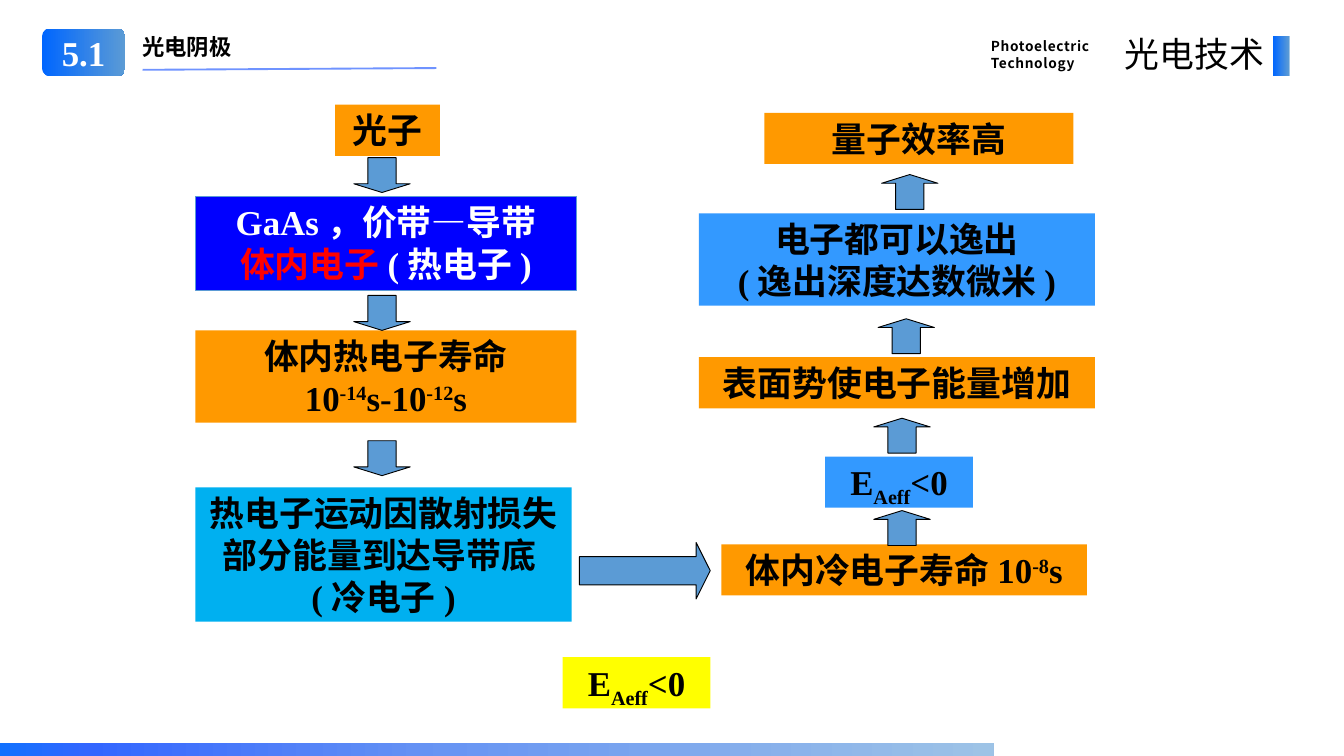
from dataclasses import dataclass

from lxml import etree
from pptx import Presentation
from pptx.dml.color import RGBColor
from pptx.enum.shapes import MSO_CONNECTOR, MSO_SHAPE as Preset
from pptx.enum.text import MSO_ANCHOR as Anchor, MSO_AUTO_SIZE as AutoSize, PP_ALIGN as Align
from pptx.oxml.ns import qn
from pptx.util import Cm, Pt

SERIF, SANS = "Times New Roman", "Noto Sans CJK SC"
ORANGE, BLUE, LIGHT_BLUE, CYAN, YELLOW = "FF9900", "0000FF", "3399FF", "00B0F0", "FFFF00"
STEEL, BLACK, WHITE, RED = "5B9BD5", "000000", "FFFFFF", "FF0000"
BADGE_STOPS = [(0, "0066FF"), (100, STEEL)]
FOOTER_STOPS = [(0, "1271FE"), (9, "3366FF"), (45, "6895F3"), (100, "9DC3E6")]
ARROW_WIDTH, ARROW_LENGTH = 1.6, 0.99
ONE_LINE, TWO_LINES = 1.45, 2.62
SUPER, SUB = 30, -25


@dataclass
class Box:
    left: float
    top: float
    width: float
    height: float

    def inner(self, left, top, width, height):
        return Box(self.left + left, self.top + top, width, height)

    def lengths(self):
        return [Cm(value) for value in (self.left, self.top, self.width, self.height)]


@dataclass
class Piece:
    text: str
    color: str = BLACK
    baseline: int = 0


def rgb(color):
    return RGBColor.from_string(color)


def add_run(paragraph, piece, size=28, font=SERIF, bold=True, spacing=0):
    run = paragraph.add_run()
    run.text = piece.text
    run.font.name, run.font.size, run.font.bold = font, Pt(size), bold
    run.font.color.rgb = rgb(piece.color)
    properties = run.font._element
    etree.SubElement(properties, qn("a:ea"), typeface=SANS)
    if piece.baseline:
        properties.set("baseline", str(piece.baseline * 1000))
    if spacing:
        properties.set("spc", str(round(spacing * 100)))


def write(shape, lines, align=Align.CENTER, anchor=Anchor.TOP, leading=None, **style):
    frame = shape.text_frame
    frame.word_wrap = True
    frame.vertical_anchor = anchor
    for index, pieces in enumerate(lines):
        paragraph = frame.add_paragraph() if index else frame.paragraphs[0]
        paragraph.alignment = align
        if leading:
            paragraph.line_spacing = Pt(leading)
        for piece in pieces:
            add_run(paragraph, piece, **style)


def add_label(slide, box, lines, **style):
    label = slide.shapes.add_textbox(*box.lengths())
    write(label, lines, **style)
    label.text_frame.auto_size = AutoSize.SHAPE_TO_FIT_TEXT


def add_filled(slide, preset, box, color=None, line=None):
    shape = slide.shapes.add_shape(preset, *box.lengths())
    shape.shadow.inherit = False
    if color:
        shape.fill.solid()
        shape.fill.fore_color.rgb = rgb(color)
    if line:
        shape.line.color.rgb = rgb(line)
        shape.line.width = Pt(0.75)
    else:
        shape.line.fill.background()
    return shape


def add_gradient(slide, preset, box, stops):
    shape = add_filled(slide, preset, box)
    shape.fill.gradient()
    shape.fill.gradient_angle = 0
    stop_list = shape._element.spPr.find(qn("a:gradFill")).find(qn("a:gsLst"))
    for old in list(stop_list):
        stop_list.remove(old)
    for position, color in stops:
        stop = etree.SubElement(stop_list, qn("a:gs"), pos=str(position * 1000))
        etree.SubElement(stop, qn("a:srgbClr"), val=color)
    return shape


def add_step(slide, box, color, lines, line=None):
    step = add_filled(slide, Preset.RECTANGLE, box, color, line)
    write(step, lines)
    step.text_frame.auto_size = AutoSize.SHAPE_TO_FIT_TEXT


def add_arrow(slide, region, left, top, rotation=0, length=ARROW_LENGTH):
    arrow = add_filled(slide, Preset.DOWN_ARROW, region.inner(left, top, ARROW_WIDTH, length), STEEL, BLACK)
    arrow.adjustments[0], arrow.adjustments[1] = 0.5, 0.25
    arrow.rotation = rotation


def affinity():
    return [[Piece("E"), Piece("Aeff", baseline=SUB), Piece("<0")]]


def build_header(slide, region):
    badge = add_gradient(slide, Preset.ROUNDED_RECTANGLE, region.inner(0, 0, 2.36, 1.35), BADGE_STOPS)
    write(badge, [[Piece("5.1", WHITE)]], anchor=Anchor.MIDDLE)
    add_label(slide, region.inner(2.59, 0, 8.89, 1.02), [[Piece("光电阴极")]],
              align=Align.LEFT, size=18, font=SANS)
    add_label(slide, region.inner(26.65, 0.1, 4.01, 1.24),
              [[Piece("Photoelectric")], [Piece("Technology")]],
              align=Align.LEFT, leading=14, size=11, font=SANS, spacing=0.5)
    add_label(slide, region.inner(30.08, 0, 4.83, 1.45), [[Piece("光电技术")]],
              align=Align.RIGHT, font=SANS, bold=False, spacing=0.2)
    add_gradient(slide, Preset.RECTANGLE, region.inner(34.9, 0.2, 0.46, 1.14), BADGE_STOPS)

    underline = slide.shapes.add_connector(
        MSO_CONNECTOR.STRAIGHT, Cm(region.left + 2.85), Cm(region.top + 1.17),
        Cm(region.left + 11.18), Cm(region.top + 1.12))
    underline.line.color.rgb = rgb("3366FF")
    underline.line.width = Pt(1.5)
    for color in underline._element.spPr.iter(qn("a:srgbClr")):
        etree.SubElement(color, qn("a:alpha"), val="70000")
    etree.SubElement(underline._element.spPr, qn("a:effectLst"))


def build_excitation(slide, region):
    """Left column, read downwards: from the photon to the cold electron."""
    add_step(slide, region.inner(3.96, 0, 2.97, ONE_LINE), ORANGE, [[Piece("光子")]])
    add_step(slide, region.inner(0, 2.59, region.width, 2.67), BLUE,
             [[Piece("GaAs，价带—导带", WHITE)],
              [Piece("体内电子", RED), Piece("(热电子)", WHITE)]], line=STEEL)
    add_step(slide, region.inner(0, 6.4, region.width, TWO_LINES), ORANGE,
             [[Piece("体内热电子寿命")],
              [Piece("10"), Piece("-14", baseline=SUPER), Piece("s-10"),
               Piece("-12", baseline=SUPER), Piece("s")]])
    add_step(slide, region.inner(0, 10.85, 10.67, 3.81), CYAN,
             [[Piece("热电子运动因散射损失部分能量到达导带底(冷电子)")]])
    for top in (1.5, 5.41, 9.53):
        add_arrow(slide, region, 4.49, top)


def build_emission(slide, region):
    """Right column, read upwards: from the cold electron to high efficiency."""
    steps = [
        (0.64, 12.24, 10.36, ONE_LINE, ORANGE,
         [[Piece("体内冷电子寿命10"), Piece("-8", baseline=SUPER), Piece("s")]]),
        (3.58, 9.75, 4.19, ONE_LINE, LIGHT_BLUE, affinity()),
        (0, 6.93, region.width, ONE_LINE, ORANGE, [[Piece("表面势使电子能量增加")]]),
        (0, 2.85, region.width, TWO_LINES, LIGHT_BLUE,
         [[Piece("电子都可以逸出")], [Piece("(逸出深度达数微米)")]]),
        (1.86, 0, 8.76, ONE_LINE, ORANGE, [[Piece("量子效率高")]]),
    ]
    for left, top, width, height, color, lines in steps:
        add_step(slide, region.inner(left, top, width, height), color, lines)
    for left, top in ((4.96, 11.28), (4.96, 8.66), (5.08, 5.84), (5.18, 1.75)):
        add_arrow(slide, region, left, top, rotation=180)


def build_bridge(slide, region):
    """Arrow between the columns and the condition below it."""
    add_arrow(slide, region, 1.53, 0, rotation=270, length=3.71)
    add_step(slide, region.inner(0, 4.31, region.width, ONE_LINE), YELLOW, affinity())


def main():
    presentation = Presentation()
    presentation.slide_width, presentation.slide_height = Cm(38.1), Cm(21.44)
    slide = presentation.slides.add_slide(presentation.slide_layouts[6])
    build_excitation(slide, Box(5.54, 2.97, 10.8, 14.66))
    build_emission(slide, Box(19.81, 3.2, 11.23, 13.69))
    build_bridge(slide, Box(15.95, 14.33, 4.19, 5.76))
    build_header(slide, Box(1.19, 0.81, 35.36, 1.45))
    add_gradient(slide, Preset.RECTANGLE, Box(0, 21.08, 28.17, 0.36), FOOTER_STOPS)
    presentation.save("out.pptx")


if __name__ == "__main__":
    main()
